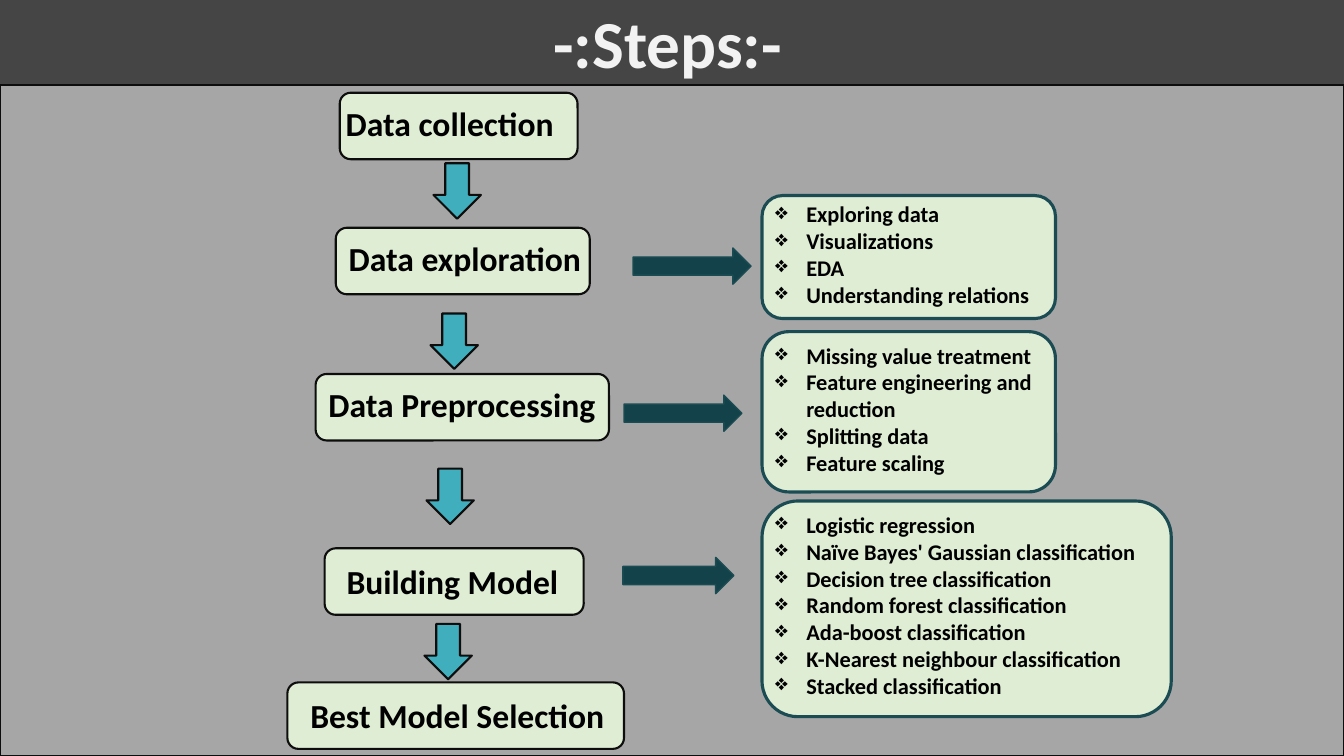
from pptx import Presentation
from pptx.dml.color import RGBColor as RGB
from pptx.enum.shapes import MSO_SHAPE as SHAPE
from pptx.enum.text import MSO_AUTO_SIZE as AUTO
from pptx.oxml.ns import qn
from pptx.util import Inches, Pt
from lxml.etree import SubElement

TITLE = ("-:Steps:-", (40.43, -0.53, 23.55, 12.13))
PANEL = (0, 11.2, 100, 88.8)

# label, box left, top, width, text left, text drop, text width
STEPS = [
    ("Data collection", 25.28, 12.27, 17.7, 24.98, 0.67, 17.7),
    ("Data exploration", 24.98, 30.13, 18.9, 25.2, 0.67, 20.4),
    ("Data Preprocessing", 23.48, 49.47, 21.83, 23.7, 0.67, 22.8),
    ("Building Model", 24.15, 72.53, 19.28, 25.05, 1.07, 17.7),
    ("Best Model Selection", 21.38, 90.27, 25.05, 22.35, 0.93, 25.88),
]
DOWN_ARROWS = [(32.25, 21.6), (32.03, 41.47), (31.73, 62), (31.58, 82.53)]
RIGHT_ARROWS = [(47.1, 32.8, 8.78), (46.43, 52.27, 8.78), (46.35, 73.73, 8.25)]

DETAILS = [
    (["Exploring data", "Visualizations", "EDA", "Understanding relations"],
     25.87, 21.83, 16.27, 0, 22.8),
    (["Missing value treatment", "Feature engineering and reduction",
      "Splitting data", "Feature scaling"],
     43.87, 21.83, 21.2, 0.67, 22.8),
    (["Logistic regression", "Naïve Bayes' Gaussian classification",
      "Decision tree classification", "Random forest classification",
      "Ada-boost classification", "K-Nearest neighbour classification",
      "Stacked classification"],
     66.27, 30.45, 28.53, 0.67, 33),
]
STEP_H, STEP_TEXT_H = 8.8, 6.67
DOWN_SIZE, RIGHT_H = (3.53, 7.33), 4.8
DETAIL_X, DETAIL_TEXT_X = 56.7, 56.93

THEME = {
    "back": "454545",
    "panel": ("A6A6A6", "0D0D0D", 1.5),
    "step": ("DFEDD4", "0D0D0D", 1.5),
    "detail": ("DFEDD4", "1C4C53", 2.25),
    "down": ("41AEBD", "0D0D0D", 1.5),
    "right": ("13424B", "1C4C53", 1),
    "title_text": ("F2F2F2", 48),
    "step_text": ("000000", 24),
    "detail_text": ("000000", 16),
    "font": "Calibri",
    "bullet": "❖",
    "indent": 0.31,
}

prs = Presentation()
prs.slide_width, prs.slide_height = Inches(13.333), Inches(7.5)
s = prs.slides.add_slide(prs.slide_layouts[6])
s.background.fill.solid()
s.background.fill.fore_color.rgb = RGB.from_string(THEME["back"])


def place(x, y, w, h):
    col, row = prs.slide_width / 100, prs.slide_height / 100
    return [round(v) for v in (x * col, y * row, w * col, h * row)]


def add_block(kind, style, box):
    fill, line, width = THEME[style]
    sp = s.shapes.add_shape(kind, *place(*box))
    sp.shadow.inherit = False
    sp.fill.solid()
    sp.fill.fore_color.rgb = RGB.from_string(fill)
    sp.line.color.rgb = RGB.from_string(line)
    sp.line.width = Pt(width)


def add_bullet(p):
    pPr = p._p.get_or_add_pPr()
    indent = Inches(THEME["indent"])
    pPr.set("marL", str(indent))
    pPr.set("indent", str(-indent))
    SubElement(pPr, qn("a:buChar")).set("char", THEME["bullet"])


def add_text(lines, style, box, bulleted=False):
    color, size = THEME[style]
    tf = s.shapes.add_textbox(*place(*box)).text_frame
    tf.word_wrap = True
    tf.auto_size = AUTO.SHAPE_TO_FIT_TEXT
    for i, line in enumerate(lines):
        p = tf.add_paragraph() if i else tf.paragraphs[0]
        r = p.add_run()
        r.text = line
        for name, value in {"name": THEME["font"], "size": Pt(size), "bold": True}.items():
            setattr(r.font, name, value)
        r.font.color.rgb = RGB.from_string(color)
        if bulleted:
            add_bullet(p)


add_block(SHAPE.RECTANGLE, "panel", PANEL)
add_text([TITLE[0]], "title_text", TITLE[1])

for label, x, y, w, text_x, drop, text_w in STEPS:
    add_block(SHAPE.ROUNDED_RECTANGLE, "step", (x, y, w, STEP_H))
    add_text([label], "step_text", (text_x, y + drop, text_w, STEP_TEXT_H))

for x, y in DOWN_ARROWS:
    add_block(SHAPE.DOWN_ARROW, "down", (x, y, *DOWN_SIZE))

for x, y, w in RIGHT_ARROWS:
    add_block(SHAPE.RIGHT_ARROW, "right", (x, y, w, RIGHT_H))

for lines, y, w, h, drop, text_w in DETAILS:
    add_block(SHAPE.ROUNDED_RECTANGLE, "detail", (DETAIL_X, y, w, h))
    add_text(lines, "detail_text", (DETAIL_TEXT_X, y + drop, text_w, h - 2 * drop), True)

prs.save("out.pptx")
